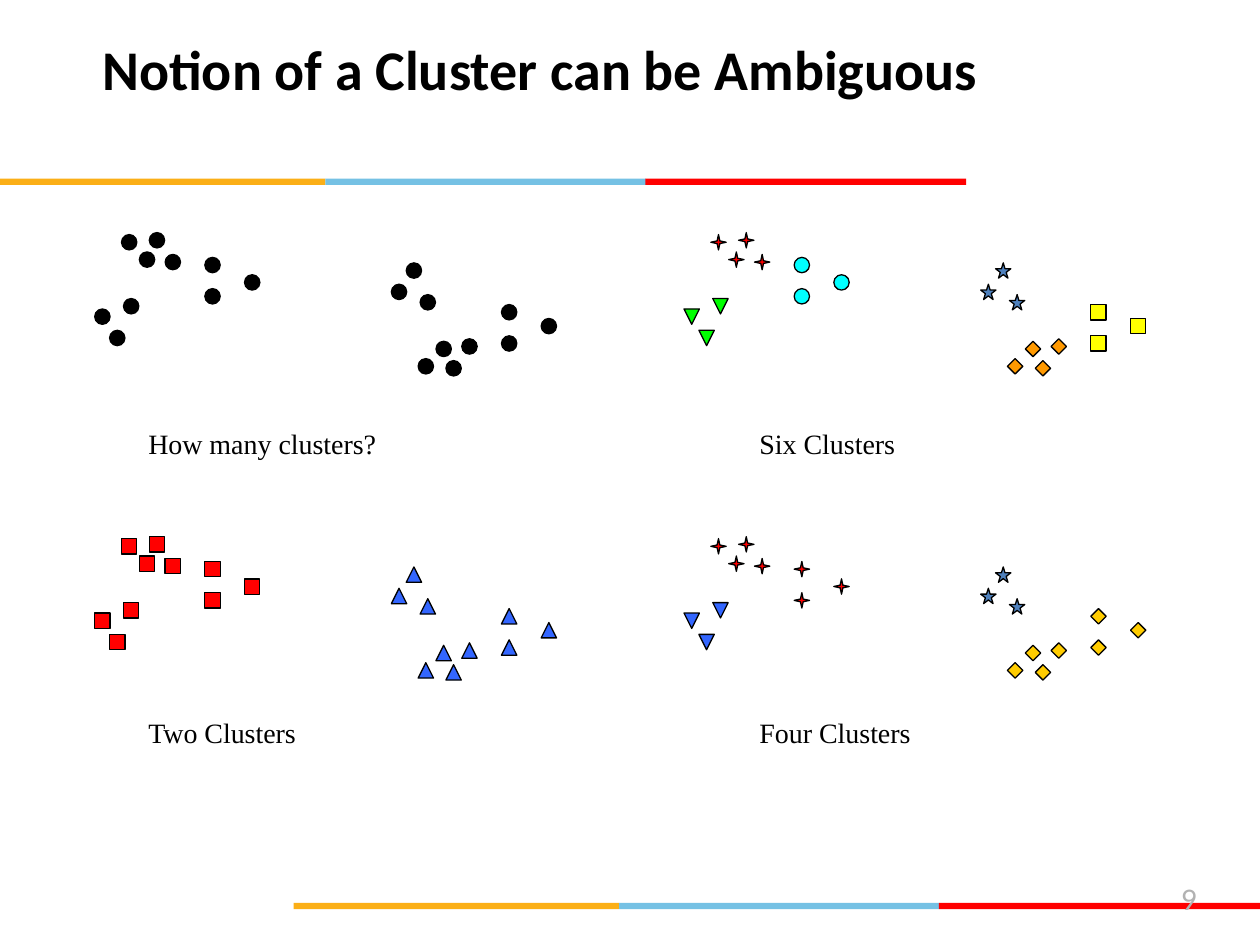
"""Build the slide that shows how ambiguous the notion of a cluster is."""
from pptx import Presentation
from pptx import util as u
from pptx.dml.color import RGBColor
from pptx.enum import shapes, text

Cm, Pt = u.Cm, u.Pt
SHAPE = shapes.MSO_SHAPE
COLORS = {
    "black": "000000", "grey": "B2B2B2", "amber": "FBAF17", "sky": "75C1E4",
    "red": "FF0000", "steel": "4F81BD", "blue": "3366FF", "gold": "FFCC00",
    "orange": "FF9900", "yellow": "FFFF00", "green": "00FF00", "cyan": "00FFFF",
}

MARK_SIZE = 0.31
GROUPS = [
    [(1.42, 0.44), (0.54, 0.04), (1.10, 0), (0.90, 0.39)],
    [(0.58, 1.33), (0, 1.54), (0.30, 1.97)],
    [(2.22, 0.50), (3.02, 0.85), (2.22, 1.13)],
]
MIRROR_SHIFT = 5.98
MIRROR_HEIGHT = 2.58
COLUMNS = [(1.91, 2.74), (13.79, 15.06)]
ROWS = [(4.69, 8.46), (10.82, 14.3)]

DOT = (SHAPE.OVAL, "black")
RED_SQUARE = (SHAPE.RECTANGLE, "red")
BLUE_TRIANGLE = (SHAPE.ISOSCELES_TRIANGLE, "blue")
RED_STAR = (SHAPE.STAR_4_POINT, "red")
STEEL_STAR = (SHAPE.STAR_5_POINT, "steel")
GOLD_DIAMOND = (SHAPE.DIAMOND, "gold")
PANELS = [
    ("How many clusters?", 0, 0, [DOT] * 3, [DOT] * 3),
    ("Six Clusters", 1, 0,
     [RED_STAR, (SHAPE.ISOSCELES_TRIANGLE, "green"), (SHAPE.OVAL, "cyan")],
     [(SHAPE.DIAMOND, "orange"), STEEL_STAR, (SHAPE.RECTANGLE, "yellow")]),
    ("Two Clusters", 0, 1, [RED_SQUARE] * 3, [BLUE_TRIANGLE] * 3),
    ("Four Clusters", 1, 1,
     [RED_STAR, (SHAPE.FLOWCHART_EXTRACT, "blue"), RED_STAR],
     [GOLD_DIAMOND, STEEL_STAR, GOLD_DIAMOND]),
]


def rgb(name):
    """Return the named colour."""
    return RGBColor.from_string(COLORS[name])


def write(box, words, size, font="Calibri", color="black", bold=False,
          align=text.PP_ALIGN.LEFT, margins=(0, 0)):
    """Put one formatted line of text into a box."""
    frame = box.text_frame
    frame.word_wrap = True
    frame.auto_size = text.MSO_AUTO_SIZE.NONE
    frame.vertical_anchor = text.MSO_ANCHOR.TOP
    frame.margin_left = frame.margin_right = Cm(margins[0])
    frame.margin_top = frame.margin_bottom = Cm(margins[1])
    para = frame.paragraphs[0]
    para.alignment = align
    span = para.add_run()
    span.text = words
    span.font.name = font
    span.font.size = Pt(size)
    span.font.bold = bold
    span.font.color.rgb = rgb(color)


def add_text(page, words, left, top, width, height, **style):
    """Add a text box with one line."""
    box = page.shapes.add_textbox(Cm(left), Cm(top), Cm(width), Cm(height))
    write(box, words, **style)


def add_solid(page, kind, color, left, top, width, height):
    """Add a filled shape without shadow or outline."""
    shape = page.shapes.add_shape(kind, Cm(left), Cm(top), Cm(width), Cm(height))
    shape.shadow.inherit = False
    shape.fill.solid()
    shape.fill.fore_color.rgb = rgb(color)
    shape.line.fill.background()
    return shape


def add_mark(page, kind, color, left, top, flipped):
    """Add one outlined data point."""
    mark = add_solid(page, kind, color, left, top, MARK_SIZE, MARK_SIZE)
    mark.line.color.rgb = rgb("black")
    mark.line.width = Pt(0.75)
    if flipped:
        mark._element.spPr.get_or_add_xfrm().set("flipV", "1")


def add_band(page, left, top):
    """Add a three-coloured rule."""
    for color, offset, width in [("amber", 0, 6.56), ("sky", 6.56, 6.46),
                                 ("red", 13.01, 6.47)]:
        add_solid(page, SHAPE.RECTANGLE, color, left + offset, top, width, 0.13)


def add_panel(page, caption, column, row, left_marks, right_marks):
    """Add the points, with the right half mirrored, and their caption."""
    left, caption_left = COLUMNS[column]
    top, caption_top = ROWS[row]
    for group, left_mark, right_mark in zip(GROUPS, left_marks, right_marks):
        for x, y in group:
            add_mark(page, *left_mark, left + x, top + y, True)
            add_mark(page, *right_mark, left + MIRROR_SHIFT + x,
                     top + MIRROR_HEIGHT - y, False)
    add_text(page, caption, caption_left, caption_top, 6.35, 0.91, size=16,
             font="Times New Roman", margins=(0.25, 0.13))


def main():
    """Build and save the deck."""
    deck = Presentation()
    deck.slide_width, deck.slide_height = Cm(25.4), Cm(19.05)
    page = deck.slides.add_slide(deck.slide_layouts[5])
    title = page.shapes.title
    title.left, title.top = Cm(2.06), Cm(0.69)
    title.width, title.height = Cm(21.89), Cm(1.32)
    write(title, "Notion of a Cluster can be Ambiguous", 32, bold=True)
    add_band(page, 0, 3.6)
    add_band(page, 5.92, 18.2)
    for panel in PANELS:
        add_panel(page, *panel)
    add_text(page, "9", 18.29, 17.73, 5.84, 0.94, size=18, color="grey",
             align=text.PP_ALIGN.RIGHT)
    deck.save("out.pptx")


if __name__ == "__main__":
    main()
